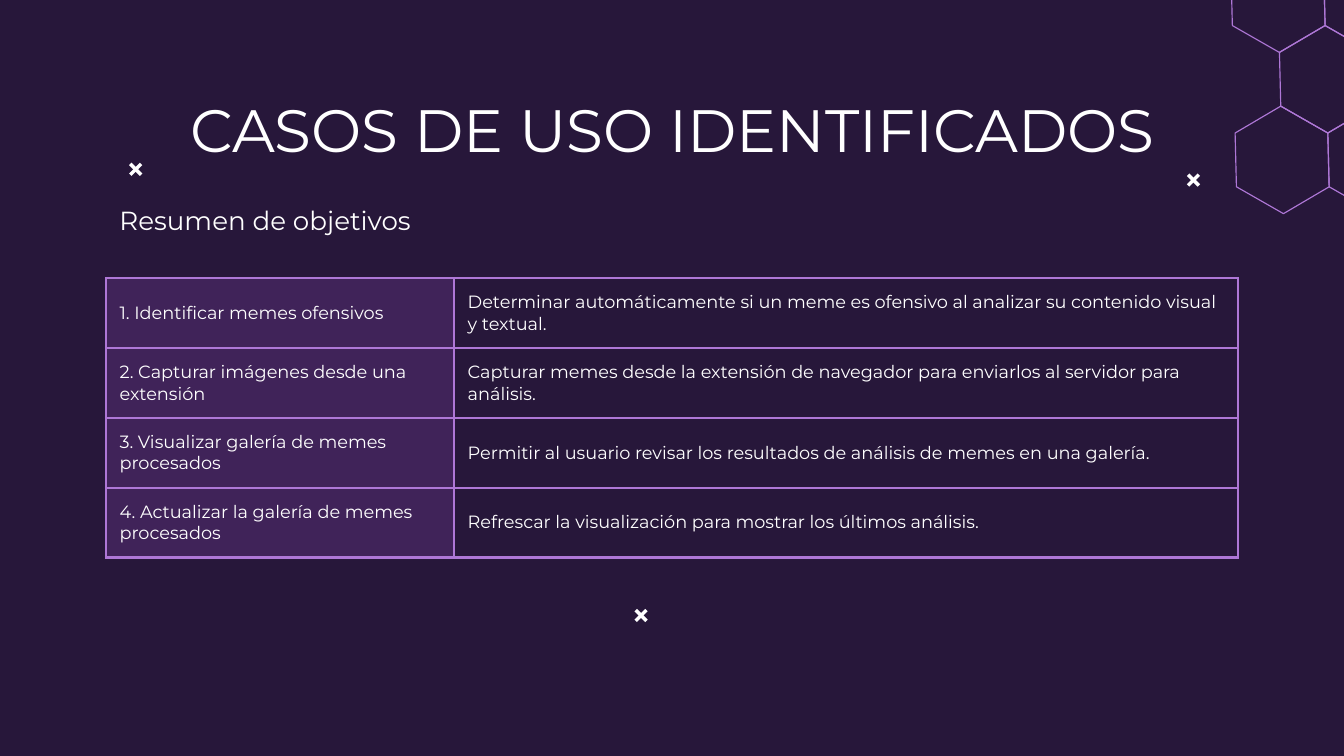
"""Builds a slide that summarises the use cases of a meme analysis system."""
from pptx import Presentation
from pptx.dml.color import RGBColor
from pptx.enum.shapes import MSO_CONNECTOR as Connector
from pptx.enum.text import MSO_ANCHOR as Anchor, PP_ALIGN as Align
from pptx.oxml import parse_xml
from pptx.oxml.ns import nsdecls, qn
from pptx.util import Inches, Pt
from lxml.etree import SubElement

COLORS = {"night": "27173A", "lilac": "AE77D6", "plum": "733C9B", "white": "FFFFFF"}
FONT = "Montserrat"
SLIDE_WIDTH = 10
MARGIN, CONTENT_WIDTH = 0.79, 8.43
HEXAGON = [(0.34, -0.2), (0.35, 0.2), (0.01, 0.4), (-0.34, 0.2), (-0.35, -0.2), (-0.01, -0.4)]
HEXAGON_CENTERS = [(9.54, 1.19), (10.23, 1.19), (9.87, 0.59), (9.51, -0.01), (10.2, -0.01)]
CROSSES = [(8.84, 1.3), (4.73, 4.54), (0.97, 1.22)]
COLUMN_WIDTHS = [2.59, 5.83]
ROW_HEIGHT = 0.52
USE_CASES = [
    ("1. Identificar memes ofensivos",
     "Determinar automáticamente si un meme es ofensivo al analizar su contenido visual y textual."),
    ("2. Capturar imágenes desde una extensión",
     "Capturar memes desde la extensión de navegador para enviarlos al servidor para análisis."),
    ("3. Visualizar galería de memes procesados",
     "Permitir al usuario revisar los resultados de análisis de memes en una galería."),
    ("4. Actualizar la galería de memes procesados",
     "Refrescar la visualización para mostrar los últimos análisis."),
]


def color(name):
    return RGBColor.from_string(COLORS[name])


def write(frame, text, size, align=Align.LEFT):
    frame.word_wrap = True
    para = frame.paragraphs[0]
    para.text = text
    para.alignment = align
    para.font.name = FONT
    para.font.size = Pt(size)
    para.font.color.rgb = color("white")


def set_margins(target):
    for side in ("left", "right", "top", "bottom"):
        setattr(target, f"margin_{side}", Inches(0.1))


def add_text(page, top, height, text, size, align=Align.LEFT):
    box = page.shapes.add_textbox(Inches(MARGIN), Inches(top), Inches(CONTENT_WIDTH), Inches(height))
    set_margins(box.text_frame)
    write(box.text_frame, text, size, align)


def add_hexagon(page, center_x, center_y):
    points = [(Inches(center_x + dx), Inches(center_y + dy)) for dx, dy in HEXAGON]
    builder = page.shapes.build_freeform(*points[0])
    builder.add_line_segments(points[1:], close=True)
    hexagon = builder.convert_to_shape()
    hexagon.shadow.inherit = False
    hexagon.fill.background()
    hexagon.line.color.rgb = color("lilac")
    hexagon.line.width = Pt(0.61)


def add_cross(page, left, top, size=0.08):
    for start, end in ((top + size, top), (top, top + size)):
        stroke = page.shapes.add_connector(
            Connector.STRAIGHT, Inches(left), Inches(start), Inches(left + size), Inches(end))
        stroke.line.color.rgb = color("white")
        stroke.line.width = Pt(1.84)
        SubElement(stroke._element.spPr, qn("a:effectLst"))


def add_borders(cell):
    properties = cell._tc.get_or_add_tcPr()
    for side in ("lnL", "lnR", "lnT", "lnB"):
        properties.append(parse_xml(
            f'<a:{side} {nsdecls("a")} w="{Pt(1.5)}"><a:solidFill>'
            f'<a:srgbClr val="{COLORS["lilac"]}"/></a:solidFill></a:{side}>'))


def fill_translucent(cell, name, percent):
    cell.fill.solid()
    cell.fill.fore_color.rgb = color(name)
    shade = cell._tc.tcPr.find(qn("a:solidFill")).find(qn("a:srgbClr"))
    SubElement(shade, qn("a:alpha"), val=str(percent * 1000))


def add_use_case_table(page, top):
    table = page.shapes.add_table(
        len(USE_CASES), len(COLUMN_WIDTHS), Inches(MARGIN), Inches(top),
        Inches(sum(COLUMN_WIDTHS)), Inches(ROW_HEIGHT * len(USE_CASES))).table
    table.first_row = table.horz_banding = False
    for column, width in zip(table.columns, COLUMN_WIDTHS):
        column.width = Inches(width)
    for row, texts in zip(table.rows, USE_CASES):
        row.height = Inches(ROW_HEIGHT)
        name, goal = row.cells
        for cell, text in zip((name, goal), texts):
            set_margins(cell)
            cell.vertical_anchor = Anchor.MIDDLE
            write(cell.text_frame, text, 9.5)
            add_borders(cell)
        fill_translucent(name, "plum", 33)
        goal.fill.background()
        goal.text_frame.paragraphs[0].space_after = Pt(16)


def main():
    deck = Presentation()
    deck.slide_width, deck.slide_height = Inches(SLIDE_WIDTH), Inches(SLIDE_WIDTH * 9 / 16)
    page = deck.slides.add_slide(deck.slide_layouts[6])
    page.background.fill.solid()
    page.background.fill.fore_color.rgb = color("night")
    for center in HEXAGON_CENTERS:
        add_hexagon(page, *center)
    add_text(page, 0.59, 0.63, "CASOS DE USO IDENTIFICADOS", 32, Align.CENTER)
    add_use_case_table(page, 2.07)
    add_text(page, 1.42, 0.3, "Resumen de objetivos", 14)
    for corner in CROSSES:
        add_cross(page, *corner)
    deck.save("out.pptx")


if __name__ == "__main__":
    main()
